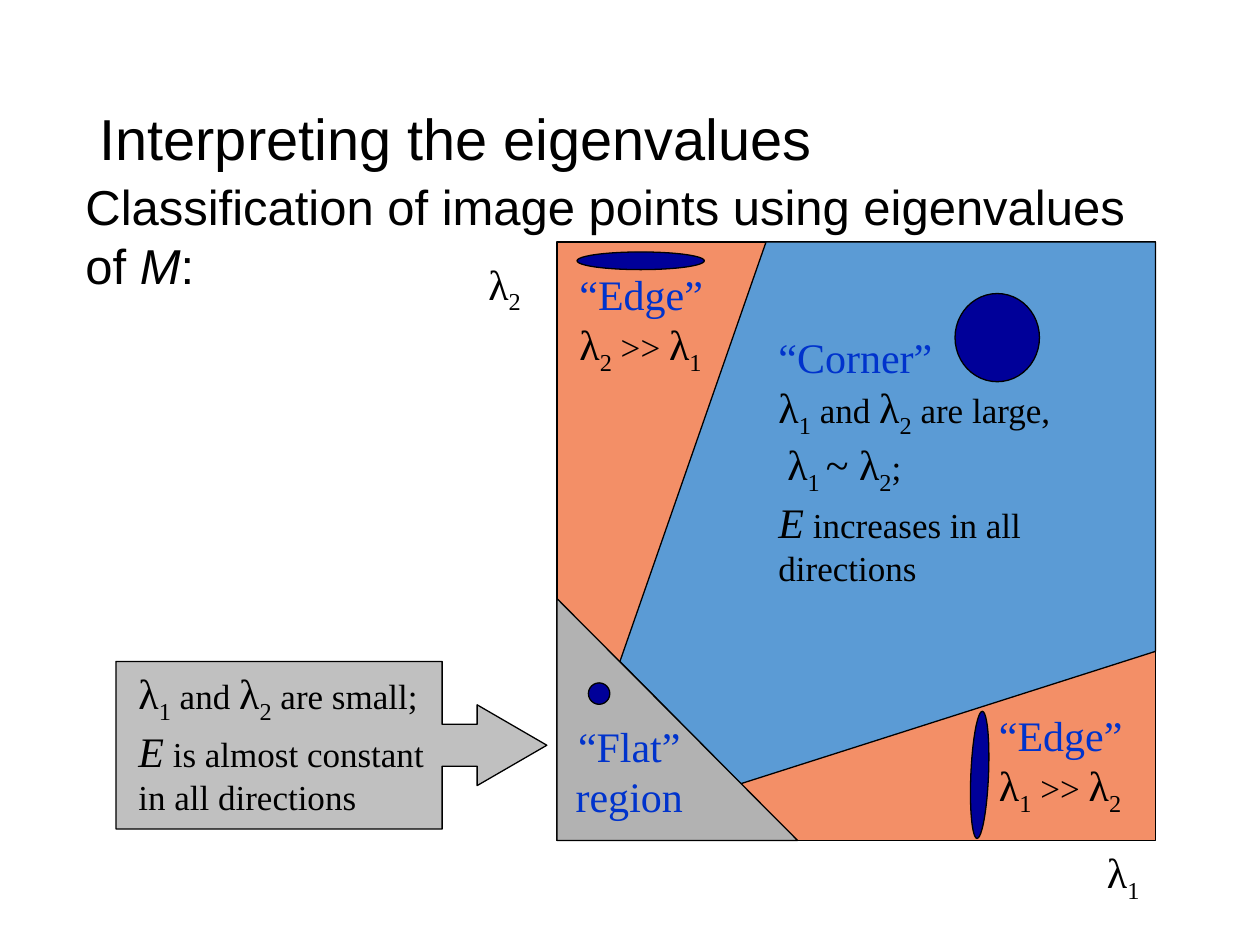
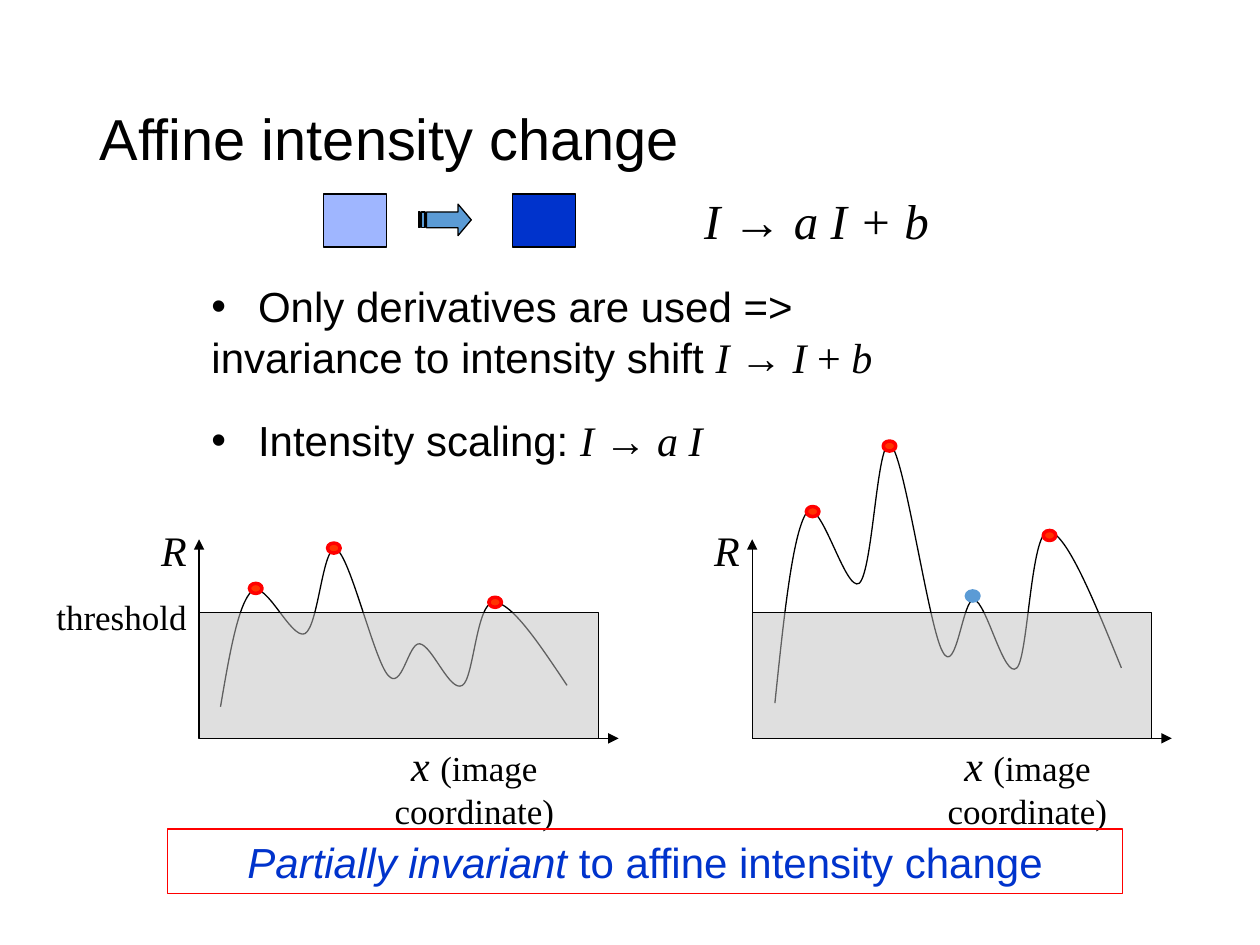
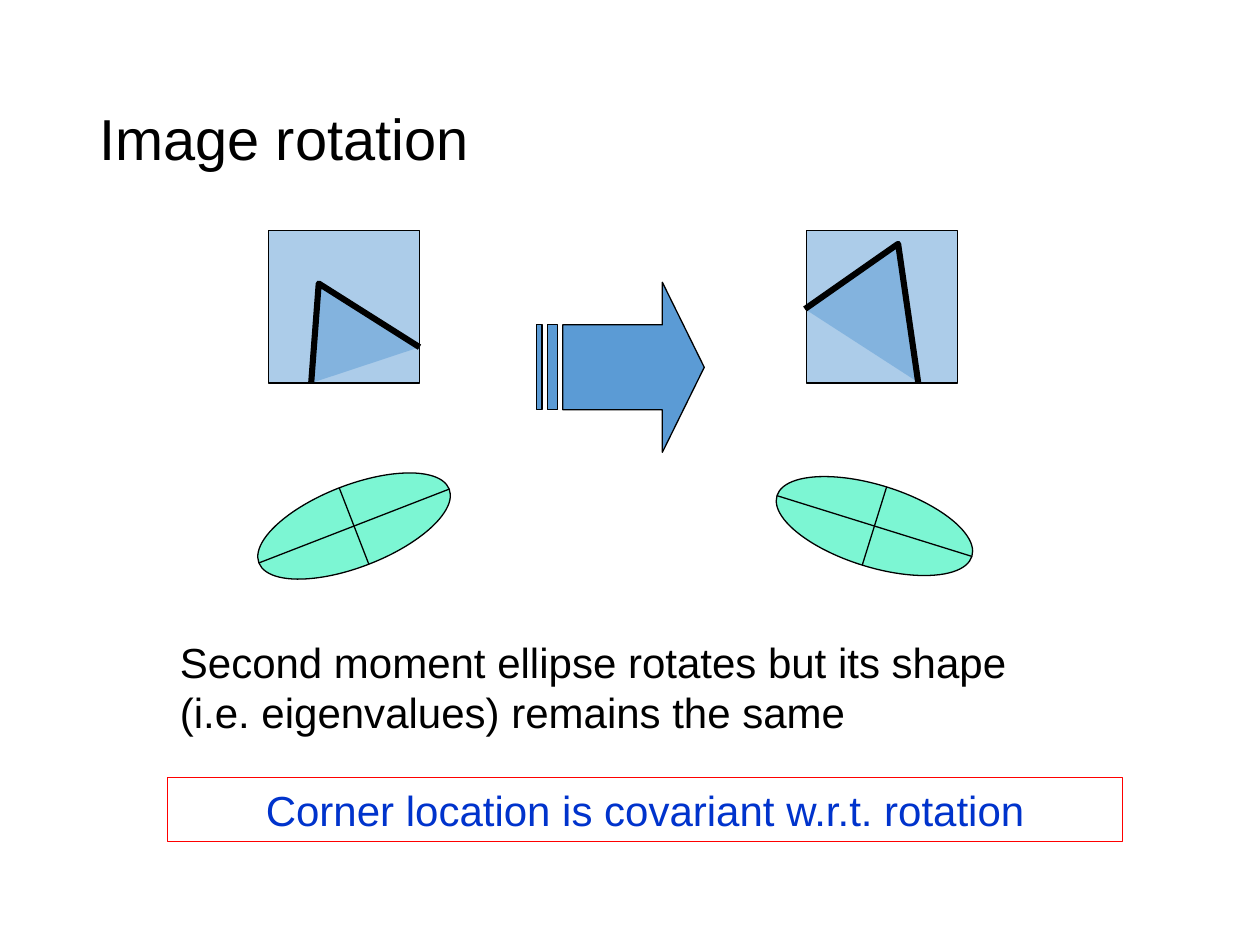
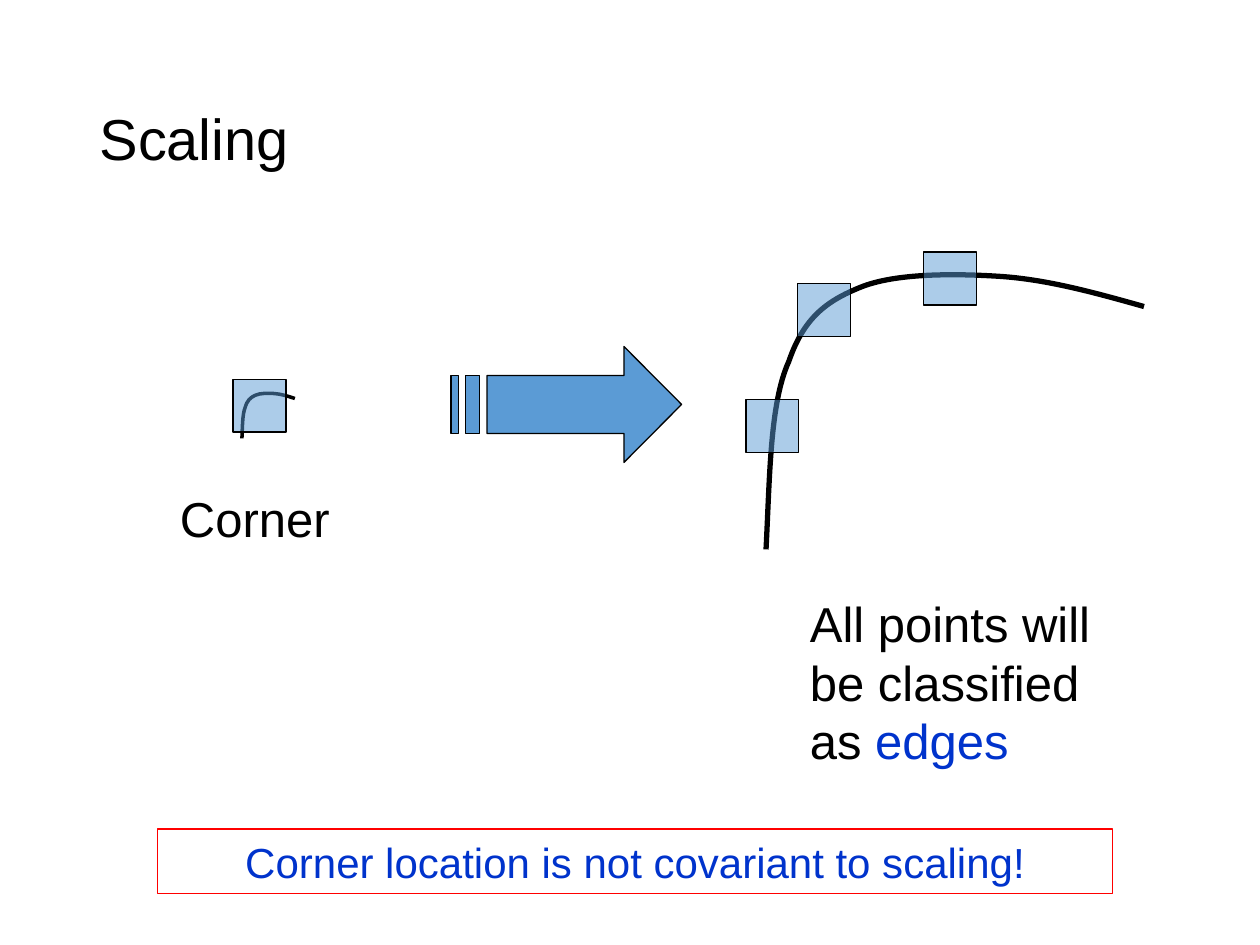
from dataclasses import dataclass
from math import cos, radians, sin

from lxml.etree import SubElement
from pptx import Presentation
from pptx.dml.color import RGBColor
from pptx.enum.shapes import MSO_CONNECTOR, MSO_SHAPE
from pptx.enum.text import MSO_ANCHOR, MSO_AUTO_SIZE, PP_ALIGN
from pptx.oxml.ns import qn
from pptx.util import Inches, Pt


@dataclass(frozen=True)
class Theme:
    sans: str = "Arial"
    serif: str = "Times New Roman"
    black: str = "000000"
    accent: str = "5B9BD5"
    emphasis: str = "0033CC"
    navy: str = "000099"
    edge: str = "F38F67"
    flat: str = "B2B2B2"
    silver: str = "C0C0C0"
    pale: str = "9FB6FF"
    mint: str = "7CF6D3"
    red: str = "FF0000"
    peak: str = "FF3300"
    title: int = 33
    lead: int = 28
    body: int = 24
    small: int = 20
    hairline: float = 0.75
    translucent: int = 50


THEME = Theme()


@dataclass(frozen=True)
class Run:
    text: str
    size: int = THEME.body
    font: str = THEME.serif
    color: str = THEME.black
    italic: bool = False
    sub: bool = False


BREAK = Run("\n")

# Outlines as fractions of their box
CORNER = [(0, 1), (0.07, 0), (1, 0.64)]
ARROW_PARTS = [
    [(0.75, 0), (0.75, 0.25), (5 / 32, 0.25), (5 / 32, 0.75),
     (0.75, 0.75), (0.75, 1), (1, 0.5)],
    [(1 / 16, 0.25), (1 / 16, 0.75), (1 / 8, 0.75), (1 / 8, 0.25)],
    [(0, 0.25), (0, 0.75), (1 / 32, 0.75), (1 / 32, 0.25)],
]
BEND = [(0, 1), (0.01, 0.74), (0.01, 0.47), (0.06, 0.32), (0.10, 0.16),
        (0.16, 0.10), (0.25, 0.05), (0.34, 0), (0.49, 0), (0.61, 0.01),
        (0.74, 0.02), (0.87, 0.07), (1, 0.12)]

# Corner response: start point, then Bézier triples, in inches
RESPONSE = [(1.75, 5.61),
            (1.82, 5.2), (1.89, 4.79), (2, 4.69),
            (2.11, 4.6), (2.31, 5.08), (2.42, 5.03),
            (2.53, 4.97), (2.56, 4.31), (2.67, 4.36),
            (2.78, 4.42), (2.97, 5.24), (3.08, 5.36),
            (3.19, 5.49), (3.24, 5.1), (3.33, 5.11),
            (3.43, 5.12), (3.57, 5.5), (3.67, 5.44),
            (3.76, 5.39), (3.78, 4.78), (3.92, 4.78),
            (4.06, 4.78), (4.28, 5.11), (4.5, 5.44)]


# ---- text ----
def serif(text, size=THEME.small, **style):
    return Run(text, size, **style)


def sans(text, size=THEME.body, **style):
    return Run(text, size, THEME.sans, **style)


def italic(text, size=THEME.body):
    return Run(text, size, italic=True)


def lam(index):
    return [Run("λ"), Run(index, sub=True)]


def write_runs(paragraph, runs):
    for item in runs:
        if item is BREAK:
            paragraph.add_line_break()
            continue
        run = paragraph.add_run()
        run.text = item.text
        run.font.size = Pt(item.size)
        run.font.name = item.font
        run.font.color.rgb = RGBColor.from_string(item.color)
        if item.italic:
            run.font.italic = True
        if item.sub:
            run.font._element.set("baseline", "-25000")


def add_text(slide, box, runs, align=PP_ALIGN.LEFT, wrap=True,
             bullet=False, side_margin=0.1):
    label = slide.shapes.add_textbox(*map(Inches, box))
    frame = label.text_frame
    frame.word_wrap = wrap
    frame.auto_size = MSO_AUTO_SIZE.SHAPE_TO_FIT_TEXT
    frame.margin_left = frame.margin_right = Inches(side_margin)
    paragraph = frame.paragraphs[0]
    if bullet:
        add_bullet(paragraph)
    paragraph.alignment = align
    write_runs(paragraph, runs)


def add_bullet(paragraph):
    """Bullet with a tab gap; wrapped lines return to the left edge."""
    properties = paragraph._p.get_or_add_pPr()
    properties.set("marL", "0")
    properties.set("indent", "0")
    SubElement(properties, qn("a:buFont")).set("typeface", THEME.sans)
    SubElement(properties, qn("a:buChar")).set("char", "•")
    stop = SubElement(SubElement(properties, qn("a:tabLst")), qn("a:tab"))
    stop.set("pos", str(Inches(0.37)))
    stop.set("algn", "l")


def add_titled_slide(deck, heading):
    slide = deck.slides.add_slide(deck.slide_layouts[5])
    title = slide.shapes.title
    title.left, title.top, title.width, title.height = map(
        Inches, (0.69, 0.4, 8.62, 1.45))
    title.text_frame.vertical_anchor = MSO_ANCHOR.MIDDLE
    paragraph = title.text_frame.paragraphs[0]
    paragraph.alignment = PP_ALIGN.LEFT
    paragraph.line_spacing = 0.9
    write_runs(paragraph, [sans(heading, THEME.title)])
    return slide


# ---- shapes ----
def paint(shape, fill=None, line=THEME.black, width=THEME.hairline, alpha=None):
    shape.shadow.inherit = False
    if fill is None:
        shape.fill.background()
    else:
        shape.fill.solid()
        shape.fill.fore_color.rgb = RGBColor.from_string(fill)
        if alpha:
            color = shape._element.spPr.find(qn("a:solidFill"))[0]
            SubElement(color, qn("a:alpha")).set("val", str(alpha * 1000))
    shape.line.color.rgb = RGBColor.from_string(line)
    shape.line.width = Pt(width)


def add_preset(slide, kind, box, fill=None, rotation=0, **style):
    shape = slide.shapes.add_shape(kind, *map(Inches, box))
    shape.rotation = rotation
    paint(shape, fill, **style)
    return shape


def add_patch(slide, box):
    add_preset(slide, MSO_SHAPE.RECTANGLE, box, THEME.accent,
               alpha=THEME.translucent)


def add_outline(slide, contours, fill=None, close=True, **style):
    in_emu = [[(Inches(x), Inches(y)) for x, y in contour]
              for contour in contours]
    builder = slide.shapes.build_freeform(*in_emu[0][0])
    for number, contour in enumerate(in_emu):
        if number:
            builder.move_to(*contour[0])
        builder.add_line_segments(contour[1:], close=close)
    shape = builder.convert_to_shape()
    paint(shape, fill, **style)
    return shape


def add_curve(slide, points, **style):
    """Turn each three control points after the start into one Bézier."""
    shape = add_outline(slide, [points], close=False, **style)
    outline = next(shape._element.iter(qn("a:path")))
    segments = outline.findall(qn("a:lnTo"))
    for first in range(0, len(segments), 3):
        bezier = SubElement(outline, qn("a:cubicBezTo"))
        for segment in segments[first:first + 3]:
            bezier.append(segment[0])
            outline.remove(segment)


def add_line(slide, start, end, arrow=False):
    line = slide.shapes.add_connector(
        MSO_CONNECTOR.STRAIGHT, *map(Inches, (*start, *end)))
    line.line.color.rgb = RGBColor.from_string(THEME.black)
    line.line.width = Pt(THEME.hairline)
    if arrow:
        SubElement(line.line._get_or_add_ln(), qn("a:tailEnd")).set(
            "type", "triangle")
    SubElement(line._element.spPr, qn("a:effectLst"))


def within(box, fractions):
    left, top, width, height = box
    return [(left + x * width, top + y * height) for x, y in fractions]


def add_striped_arrow(slide, box):
    add_outline(slide, [within(box, part) for part in ARROW_PARTS], THEME.accent)


def add_conclusion(slide, left, top, runs):
    banner = add_preset(slide, MSO_SHAPE.RECTANGLE, (left, top, 7.58, 0.51),
                        line=THEME.red)
    frame = banner.text_frame
    frame.word_wrap = True
    frame.paragraphs[0].alignment = PP_ALIGN.CENTER
    write_runs(frame.paragraphs[0], runs)


# ---- parts of single slides ----
def add_edge_label(slide, left, top, larger, smaller):
    add_text(slide, (left, top, 1.42, 0.9),
             [Run("“Edge”", color=THEME.emphasis), BREAK,
              *lam(larger), serif(" >> "), *lam(smaller)])


def add_response_plot(slide, left, curve):
    base, top = 5.86, 4.28
    add_curve(slide, curve)
    for end in ((left + 3.33, base), (left, top)):
        add_line(slide, (left, base), end, arrow=True)
    add_text(slide, (left - 0.4, 4.11, 0.4, 0.5), [italic("R")],
             PP_ALIGN.CENTER, wrap=False)
    add_text(slide, (left + 0.92, 5.82, 2.53, 0.84),
             [italic("x "), serif("(image coordinate)")],
             PP_ALIGN.CENTER, side_margin=0.5)
    add_preset(slide, MSO_SHAPE.RECTANGLE, (left, base - 1, 3.17, 1),
               THEME.silver, alpha=THEME.translucent)


def add_peak(slide, left, top, fill=THEME.peak, line=THEME.red):
    add_preset(slide, MSO_SHAPE.OVAL, (left, top, 0.1, 0.08), fill,
               line=line, width=2)


def add_corner_patch(slide, patch_left, corner_box, rotation=0):
    add_patch(slide, (patch_left, 1.83, 1.2, 1.21))
    corner = add_outline(slide, [within(corner_box, CORNER)], THEME.accent,
                         close=False, width=3.5, alpha=THEME.translucent)
    corner.rotation = rotation


def add_moment_ellipse(slide, left, rotation):
    top, width, height = 3.85, 1.62, 0.65
    add_preset(slide, MSO_SHAPE.OVAL, (left, top, width, height),
               THEME.mint, rotation)
    center_x, center_y = left + width / 2, top + height / 2
    for length, angle in ((width, rotation), (height, rotation + 90)):
        dx = length / 2 * cos(radians(angle))
        dy = length / 2 * sin(radians(angle))
        add_line(slide, (center_x - dx, center_y - dy),
                 (center_x + dx, center_y + dy))


# ---- slides ----
def build_eigenvalues(deck):
    slide = add_titled_slide(deck, "Interpreting the eigenvalues")
    callout = add_preset(slide, MSO_SHAPE.RIGHT_ARROW_CALLOUT,
                         (0.92, 5.25, 3.42, 1.33), THEME.silver)
    for index, value in enumerate((0.25, 0.241, 0.416, 0.757)):
        callout.adjustments[index] = value

    # Regions and axis names
    add_preset(slide, MSO_SHAPE.RECTANGLE, (4.42, 1.92, 4.75, 4.75), THEME.edge)
    add_text(slide, (8.5, 6.67, 0.83, 0.5), lam("1"), PP_ALIGN.CENTER)
    add_text(slide, (3.42, 2, 1.17, 0.5), lam("2"), PP_ALIGN.CENTER)
    add_outline(slide, [[(4.92, 5.25), (6.08, 1.92), (9.17, 1.92),
                         (9.17, 5.17), (5.88, 6.22)]], THEME.accent)
    add_preset(slide, MSO_SHAPE.RIGHT_TRIANGLE, (4.42, 4.75, 1.91, 1.92),
               THEME.flat)

    # Region descriptions
    add_text(slide, (6.08, 2.58, 2.92, 2.03), [
        Run("“Corner”", color=THEME.emphasis), BREAK,
        *lam("1"), serif(" and "), *lam("2"), serif(" are large,"), BREAK,
        serif(" "), *lam("1"), Run(" ", sub=True), Run("~ "), *lam("2"),
        serif(";"), BREAK,
        italic("E"), serif(" increases in all directions")])
    add_text(slide, (1, 5.25, 2.58, 1.23), [
        *lam("1"), serif(" and "), *lam("2"), serif(" are small;"), BREAK,
        italic("E"), serif(" is almost constant in all directions")])
    add_edge_label(slide, 7.83, 5.58, "1", "2")
    add_edge_label(slide, 4.5, 2.08, "2", "1")
    add_text(slide, (4.33, 5.67, 1.33, 0.9),
             [Run("“Flat” region", color=THEME.emphasis)], PP_ALIGN.CENTER)
    add_text(slide, (0.58, 1.35, 8.75, 1.03), [
        sans("Classification of image points using eigenvalues of ", THEME.lead),
        sans("M", THEME.lead, italic=True), sans(":", THEME.lead)])

    # Moment ellipses
    for box, rotation in (((7.58, 2.33, 0.67, 0.7), 0),
                          ((4.58, 2, 1.01, 0.14), 0),
                          ((4.67, 5.42, 0.17, 0.17), 0),
                          ((7.27, 6.08, 1.01, 0.14), 92.4)):
        add_preset(slide, MSO_SHAPE.OVAL, box, THEME.navy, rotation)


def build_intensity(deck):
    slide = add_titled_slide(deck, "Affine intensity change")
    add_text(slide, (1.58, 2.18, 6.08, 0.91), [
        sans("\tOnly derivatives are used => invariance to intensity shift "),
        italic("I "), Run("→ "), italic("I "), Run("+ "), italic("b")],
        bullet=True)
    add_text(slide, (1.58, 3.24, 5.67, 0.5), [
        sans("\tIntensity scaling: "), italic("I "), Run("→ "), italic("a I")],
        bullet=True)

    # Response before and after scaling
    scaled = [(x + 4.4, 5.58 - (5.61 - y) * 1.64) for x, y in RESPONSE]
    add_response_plot(slide, 1.58, RESPONSE)
    add_response_plot(slide, 5.97, scaled)
    add_text(slide, (0.35, 4.68, 1.23, 0.43), [serif("threshold")],
             PP_ALIGN.CENTER, wrap=False, side_margin=0.02)
    for left, top in ((1.98, 4.63), (2.6, 4.31), (3.88, 4.74),
                      (6.4, 4.02), (7.01, 3.5), (8.28, 4.21)):
        add_peak(slide, left, top)
    add_peak(slide, 7.67, 4.69, THEME.accent, THEME.accent)

    add_conclusion(slide, 1.33, 6.58, [
        sans("Partially invariant ", color=THEME.emphasis, italic=True),
        sans("to affine intensity change", color=THEME.emphasis)])

    # Intensity mapping
    add_text(slide, (5.49, 1.46, 2.02, 0.57), [
        italic("I ", THEME.lead), serif("→ ", THEME.lead),
        italic("a I + b", THEME.lead)], wrap=False)
    for left, shade in ((4.07, THEME.emphasis), (2.57, THEME.pale)):
        add_preset(slide, MSO_SHAPE.RECTANGLE, (left, 1.54, 0.5, 0.42), shade)
    add_striped_arrow(slide, (3.32, 1.62, 0.42, 0.25))


def build_rotation(deck):
    slide = add_titled_slide(deck, "Image rotation")
    add_text(slide, (1.33, 5, 7.33, 0.91), [
        sans("Second moment ellipse rotates but its shape "
             "(i.e. eigenvalues) remains the same")])
    add_corner_patch(slide, 2.13, (2.47, 2.25, 0.86, 0.79))
    add_corner_patch(slide, 6.4, (6.55, 2.11, 1.02, 0.9), 50.5)
    add_striped_arrow(slide, (4.26, 2.24, 1.33, 1.35))
    add_moment_ellipse(slide, 2, 338.8)
    add_moment_ellipse(slide, 6.13, 17.3)
    add_conclusion(slide, 1.33, 6.17, [
        sans("Corner location is covariant w.r.t. rotation",
             color=THEME.emphasis)])


def build_scaling(deck):
    slide = add_titled_slide(deck, "Scaling")
    window = 0.42
    add_text(slide, (6.33, 4.66, 2.83, 1.5), [
        sans("All points will be classified as ", THEME.lead),
        sans("edges", THEME.lead, color=THEME.emphasis)])

    # Small curve fits one window
    add_curve(slide, within((1.92, 3.12, 0.42, 0.36), BEND), width=2)
    add_patch(slide, (1.85, 3.01, window, window))
    add_text(slide, (1.33, 3.83, 1.75, 0.57), [sans("Corner", THEME.lead)])
    add_conclusion(slide, 1.25, 6.58, [
        sans("Corner location is not covariant to scaling!",
             color=THEME.emphasis)])

    # Enlarged curve needs several windows
    add_curve(slide, within((6.08, 2.17, 3, 2.19), BEND), width=3)
    add_striped_arrow(slide, (3.58, 2.75, 1.83, 0.92))
    for left, top in ((7.33, 2), (6.33, 2.25), (5.92, 3.17)):
        add_patch(slide, (left, top, window, window))


def main():
    deck = Presentation()
    deck.slide_width, deck.slide_height = Inches(10), Inches(7.5)
    build_eigenvalues(deck)
    build_intensity(deck)
    build_rotation(deck)
    build_scaling(deck)
    deck.save("out.pptx")


if __name__ == "__main__":
    main()
